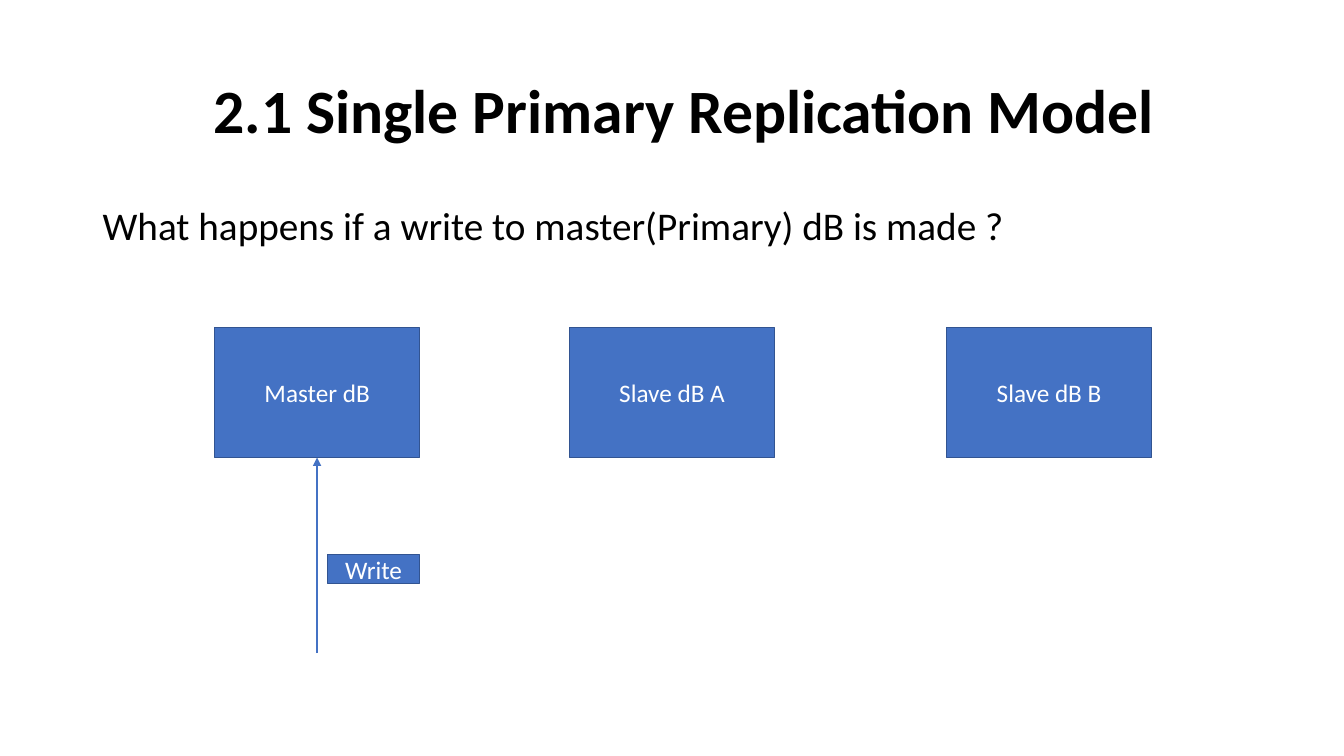
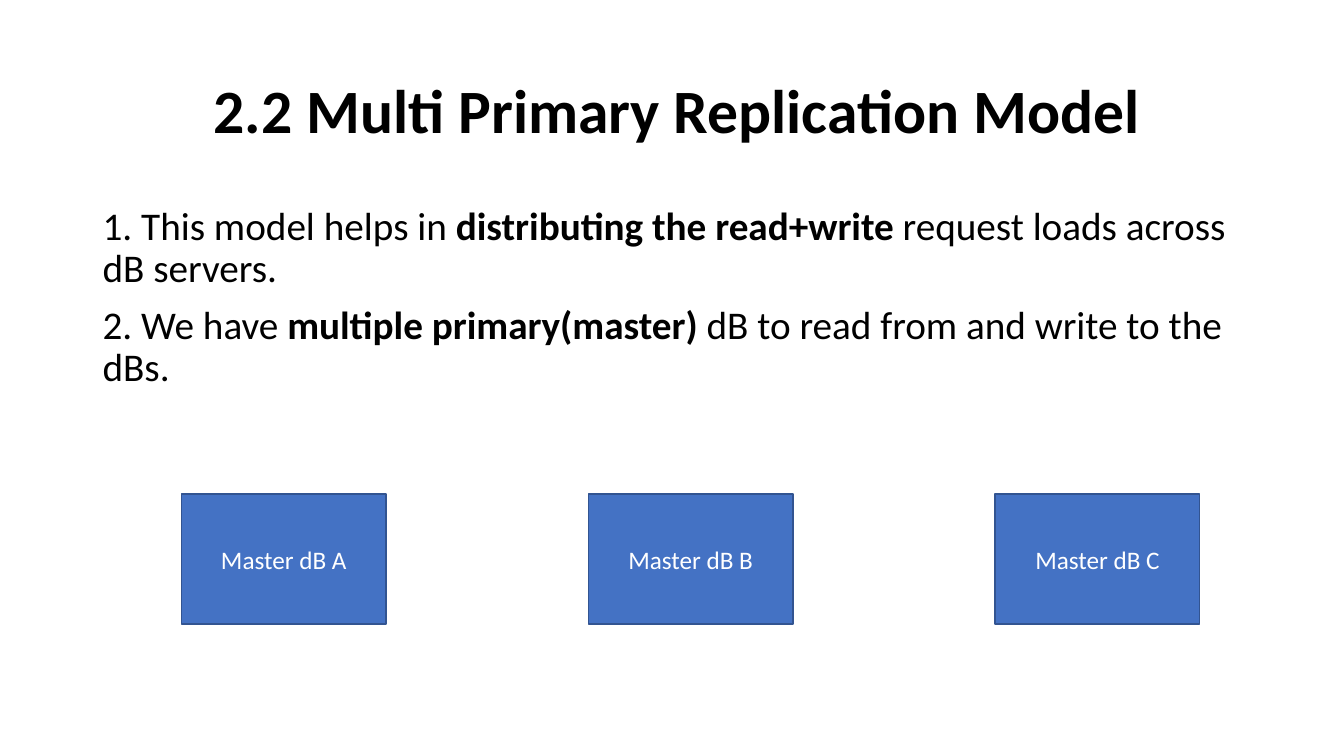
"""Build two slides on database replication models."""
from typing import NamedTuple

import pptx
import pptx.dml.color
import pptx.enum.shapes
import pptx.enum.text
import pptx.oxml.ns
import pptx.util
from lxml import etree

SLIDE_WIDTH = pptx.util.Inches(13.33)
SLIDE_HEIGHT = pptx.util.Inches(7.5)
FONT = "Calibri"
INK, PAPER, BLUE, EDGE = "000000", "FFFFFF", "4472C4", "325491"


class Area(NamedTuple):
    left: float
    top: float
    width: float
    height: float


class Words(NamedTuple):
    text: str
    bold: bool = False


class Node(NamedTuple):
    label: str
    area: Area


TITLE_AREA = Area(6.9, 5.33, 86.27, 19.33)
BODY_AREA = Area(6.9, 26.67, 86.27, 63.47)
DB_WIDTH, DB_HEIGHT = 15.23, 17.2


def across(share):
    return round(SLIDE_WIDTH * share / 100)


def down(share):
    return round(SLIDE_HEIGHT * share / 100)


def place(area):
    return across(area.left), down(area.top), across(area.width), down(area.height)


def colour(code: str) -> pptx.dml.color.RGBColor:
    return pptx.dml.color.RGBColor.from_string(code)


def add_words(paragraph, words: Words, size: float, ink: str) -> None:
    run = paragraph.add_run()
    run.text = words.text
    run.font.name = FONT
    run.font.size = pptx.util.Pt(size)
    run.font.bold = words.bold
    run.font.color.rgb = colour(ink)


def add_text(slide, area: Area, paragraphs: list[list[Words]], size: float, before: float = 0):
    frame = slide.shapes.add_textbox(*place(area)).text_frame
    frame.word_wrap = True
    for index, line in enumerate(paragraphs):
        paragraph = frame.add_paragraph() if index else frame.paragraphs[0]
        paragraph.line_spacing = 0.9
        paragraph.space_before = pptx.util.Pt(before)
        for words in line:
            add_words(paragraph, words, size, INK)
    return frame


def add_node(slide, node: Node):
    box = slide.shapes.add_shape(pptx.enum.shapes.MSO_SHAPE.RECTANGLE, *place(node.area))
    box.shadow.inherit = False
    box.fill.solid()
    box.fill.fore_color.rgb = colour(BLUE)
    box.line.color.rgb = colour(EDGE)
    box.line.width = pptx.util.Pt(1)
    frame = box.text_frame
    frame.word_wrap = True
    frame.vertical_anchor = pptx.enum.text.MSO_ANCHOR.MIDDLE
    paragraph = frame.paragraphs[0]
    paragraph.alignment = pptx.enum.text.PP_ALIGN.CENTER
    add_words(paragraph, Words(node.label), 18, PAPER)
    return box


def add_arrow_up(slide, target, start_share: float) -> None:
    middle = target.left + target.width // 2
    arrow = slide.shapes.add_connector(
        pptx.enum.shapes.MSO_CONNECTOR.STRAIGHT,
        middle, down(start_share), middle, target.top + target.height)
    arrow.end_connect(target, 2)
    arrow.line.color.rgb = colour(BLUE)
    arrow.line.width = pptx.util.Pt(1.5)
    outline = arrow.line._get_or_add_ln()
    etree.SubElement(outline, pptx.oxml.ns.qn("a:tailEnd"), type="triangle")
    etree.SubElement(arrow._element.spPr, pptx.oxml.ns.qn("a:effectLst"))


def add_databases(slide, labels: list[str], lefts: list[float], top: float) -> list:
    return [add_node(slide, Node(label, Area(left, top, DB_WIDTH, DB_HEIGHT)))
            for label, left in zip(labels, lefts)]


def add_topic(deck, title: str, body: list[list[Words]]):
    slide = deck.slides.add_slide(deck.slide_layouts[6])
    heading = add_text(slide, TITLE_AREA, [[Words(title, True)]], 44)
    heading.margin_left = pptx.util.Inches(1.2)
    heading.vertical_anchor = pptx.enum.text.MSO_ANCHOR.MIDDLE
    add_text(slide, BODY_AREA, body, 28, before=10)
    return slide


def build_single_primary(deck) -> None:
    slide = add_topic(deck, "2.1 Single Primary Replication Model", [
        [Words("What happens if a write to master(Primary) dB is made ?")],
    ])
    master_left = 15.98
    master, *_ = add_databases(slide, ["Master dB", "Slave dB A", "Slave dB B"],
                               [master_left, 42.39, 70.44], 43.33)
    add_arrow_up(slide, master, 86.4)
    write_width = 6.83
    write_left = master_left + DB_WIDTH - write_width
    add_node(slide, Node("Write", Area(write_left, 73.33, write_width, 3.87)))


def build_multi_primary(deck) -> None:
    slide = add_topic(deck, "2.2 Multi Primary Replication Model", [
        [Words("1. This model helps in "), Words("distributing the read+write ", True),
         Words("request loads across dB servers.")],
        [Words("2. We have "), Words("multiple primary(master)", True),
         Words(" dB to read from and write to the dBs.")],
    ])
    first_left, step = 13.5, 30.27
    add_databases(slide, [f"Master dB {letter}" for letter in "ABC"],
                  [first_left + step * column for column in range(3)], 65.33)


def main() -> None:
    deck = pptx.Presentation()
    deck.slide_width, deck.slide_height = SLIDE_WIDTH, SLIDE_HEIGHT
    build_single_primary(deck)
    build_multi_primary(deck)
    deck.save("out.pptx")


if __name__ == "__main__":
    main()
